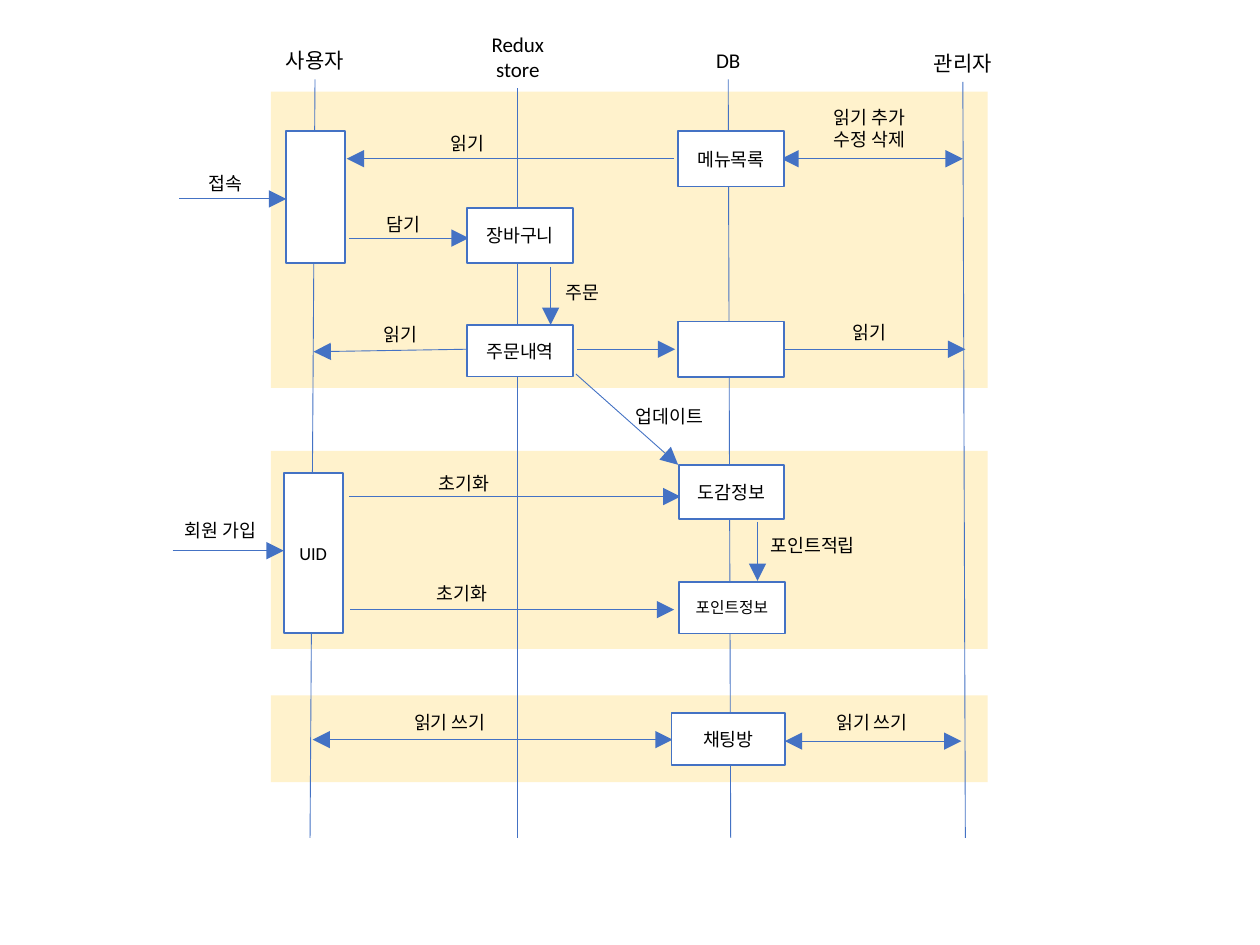
from dataclasses import dataclass

from lxml import etree
from pptx import Presentation
from pptx.dml.color import RGBColor
from pptx.enum.shapes import MSO_CONNECTOR, MSO_SHAPE
from pptx.enum.text import MSO_ANCHOR, MSO_AUTO_SIZE, PP_ALIGN
from pptx.oxml.ns import qn
from pptx.util import Cm, Pt

BLANK_LAYOUT = 6
RECTANGLE = MSO_SHAPE.RECTANGLE
STRAIGHT = MSO_CONNECTOR.STRAIGHT
MIDDLE = MSO_ANCHOR.MIDDLE
GROW = MSO_AUTO_SIZE.SHAPE_TO_FIT_TEXT
LEFT, CENTER = PP_ALIGN.LEFT, PP_ALIGN.CENTER


@dataclass(frozen=True)
class Theme:
    font: str = "Calibri"
    text: RGBColor = RGBColor(0x00, 0x00, 0x00)
    line: RGBColor = RGBColor(0x44, 0x72, 0xC4)
    box: RGBColor = RGBColor(0xFF, 0xFF, 0xFF)
    band: RGBColor = RGBColor(0xFF, 0xF2, 0xCC)
    header_size: float = 12
    label_size: float = 10.5
    small_size: float = 9
    box_line: float = 1
    thin_line: float = 0.5


class SequenceDiagram:
    """Draws sequence diagram elements on one slide; lengths are in cm."""

    def __init__(self, slide, theme):
        self.slide = slide
        self.theme = theme

    def add_text(self, frame, text, size, alignment):
        for index, line in enumerate(text.split("\n")):
            paragraph = frame.paragraphs[0] if index == 0 else frame.add_paragraph()
            paragraph.alignment = alignment
            run = paragraph.add_run()
            run.text = line
            run.font.name = self.theme.font
            run.font.size = Pt(size)
            run.font.color.rgb = self.theme.text

    def rectangle(self, left, top, width, height, color):
        shape = self.slide.shapes.add_shape(
            RECTANGLE, Cm(left), Cm(top), Cm(width), Cm(height))
        shape.shadow.inherit = False
        shape.fill.solid()
        shape.fill.fore_color.rgb = color
        return shape

    def band(self, top, height):
        shape = self.rectangle(5.46, top, 14.45, height, self.theme.band)
        shape.line.fill.background()

    def box(self, text, left, top, width, height, size=None):
        shape = self.rectangle(left, top, width, height, self.theme.box)
        shape.line.color.rgb = self.theme.line
        shape.line.width = Pt(self.theme.box_line)
        if text:
            shape.text_frame.word_wrap = True
            shape.text_frame.vertical_anchor = MIDDLE
            self.add_text(shape.text_frame, text, size or self.theme.label_size, CENTER)

    def label(self, text, left, top, width, height=0.71, size=None, alignment=LEFT):
        shape = self.slide.shapes.add_textbox(
            Cm(left), Cm(top), Cm(width), Cm(height))
        shape.text_frame.word_wrap = True
        shape.text_frame.auto_size = GROW
        self.add_text(shape.text_frame, text, size or self.theme.label_size, alignment)

    def line(self, start, end, heads=()):
        """Draw a thin line; heads names the ends that carry an arrowhead."""
        connector = self.slide.shapes.add_connector(
            STRAIGHT, Cm(start[0]), Cm(start[1]), Cm(end[0]), Cm(end[1]))
        connector.line.color.rgb = self.theme.line
        connector.line.width = Pt(self.theme.thin_line)
        properties = connector._element.spPr
        outline = properties.find(qn("a:ln"))
        for head in heads:
            etree.SubElement(outline, qn(f"a:{head}"), type="triangle", w="lg", len="lg")
        etree.SubElement(properties, qn("a:effectLst"))

    def arrow(self, start, end):
        self.line(start, end, ("tailEnd",))

    def double_arrow(self, start, end):
        self.line(start, end, ("headEnd", "tailEnd"))

    def actor(self, name, top_x, bottom_x, header_top, header_height=0.76):
        """Draw a header centred over its lifeline."""
        width = 1.83
        self.label(name, top_x - width / 2, header_top, width, header_height,
                   self.theme.header_size, CENTER)
        self.line((top_x, header_top + header_height), (bottom_x, 16.89))


BANDS = [(1.85, 5.97), (9.09, 3.99), (14.02, 1.75)]

ACTORS = [
    ("사용자", 6.35, 6.25, 0.84),
    ("Redux store", 10.44, 10.44, 0.51, 1.27),
    ("DB", 14.68, 14.73, 0.84),
    ("관리자", 19.41, 19.46, 0.89),
]

ARROWS = [
    ((3.61, 4.01), (5.77, 4.01)),
    ((13.59, 3.2), (6.99, 3.2)),
    ((7.04, 4.8), (9.45, 4.8)),
    ((11.1, 5.38), (11.1, 6.55)),
    ((9.42, 7.04), (6.32, 7.09)),
    ((11.63, 7.04), (13.61, 7.04)),
    ((15.8, 7.04), (19.46, 7.04)),
    ((11.61, 7.54), (13.67, 9.37)),
    ((3.48, 11.1), (5.72, 11.1)),
    ((7.04, 10.01), (13.72, 10.01)),
    ((15.27, 10.52), (15.27, 11.71)),
    ((7.06, 12.29), (13.59, 12.29)),
]

DOUBLE_ARROWS = [
    ((15.75, 3.2), (19.41, 3.2)),
    ((6.3, 14.91), (13.56, 14.91)),
    ((15.82, 14.94), (19.38, 14.94)),
]

BOXES = [
    ("", 5.77, 2.64, 1.19, 2.67),
    ("메뉴목록", 13.67, 2.64, 2.13, 1.12),
    ("장바구니", 9.42, 4.19, 2.13, 1.12),
    ("주문내역", 9.42, 6.55, 2.13, 1.04),
    ("", 13.67, 6.48, 2.13, 1.12),
    ("UID", 5.72, 9.53, 1.19, 3.23),
    ("도감정보", 13.69, 9.37, 2.11, 1.09),
    ("포인트정보", 13.69, 11.73, 2.13, 1.04, Theme.small_size),
    ("채팅방", 13.54, 14.38, 2.29, 1.04),
]

LABELS = [
    ("접속", 3.96, 3.35, 3.35),
    ("읽기", 8.84, 2.54, 3.35),
    ("읽기 추가\n수정 삭제", 16.56, 2.01, 2.57, 1.14),
    ("담기", 7.54, 4.17, 1.85),
    ("주문", 11.15, 5.54, 3.12),
    ("읽기", 7.49, 6.4, 1.85),
    ("읽기", 16.94, 6.35, 1.85),
    ("업데이트", 12.57, 8.05, 2.18),
    ("회원 가입", 3.48, 10.34, 3.35),
    ("초기화", 8.59, 9.4, 1.85),
    ("포인트적립", 15.29, 10.64, 3.12),
    ("초기화", 8.56, 11.61, 1.85),
    ("읽기 쓰기", 8.1, 14.22, 4.14),
    ("읽기 쓰기", 16.61, 14.22, 3.71),
]


def main():
    presentation = Presentation()
    presentation.slide_width = Cm(25.4)
    presentation.slide_height = Cm(19.05)
    slide = presentation.slides.add_slide(presentation.slide_layouts[BLANK_LAYOUT])
    diagram = SequenceDiagram(slide, Theme())
    for draw, rows in (
        (diagram.band, BANDS),
        (diagram.actor, ACTORS),
        (diagram.arrow, ARROWS),
        (diagram.double_arrow, DOUBLE_ARROWS),
        (diagram.box, BOXES),
        (diagram.label, LABELS),
    ):
        for row in rows:
            draw(*row)
    presentation.save("out.pptx")


if __name__ == "__main__":
    main()
